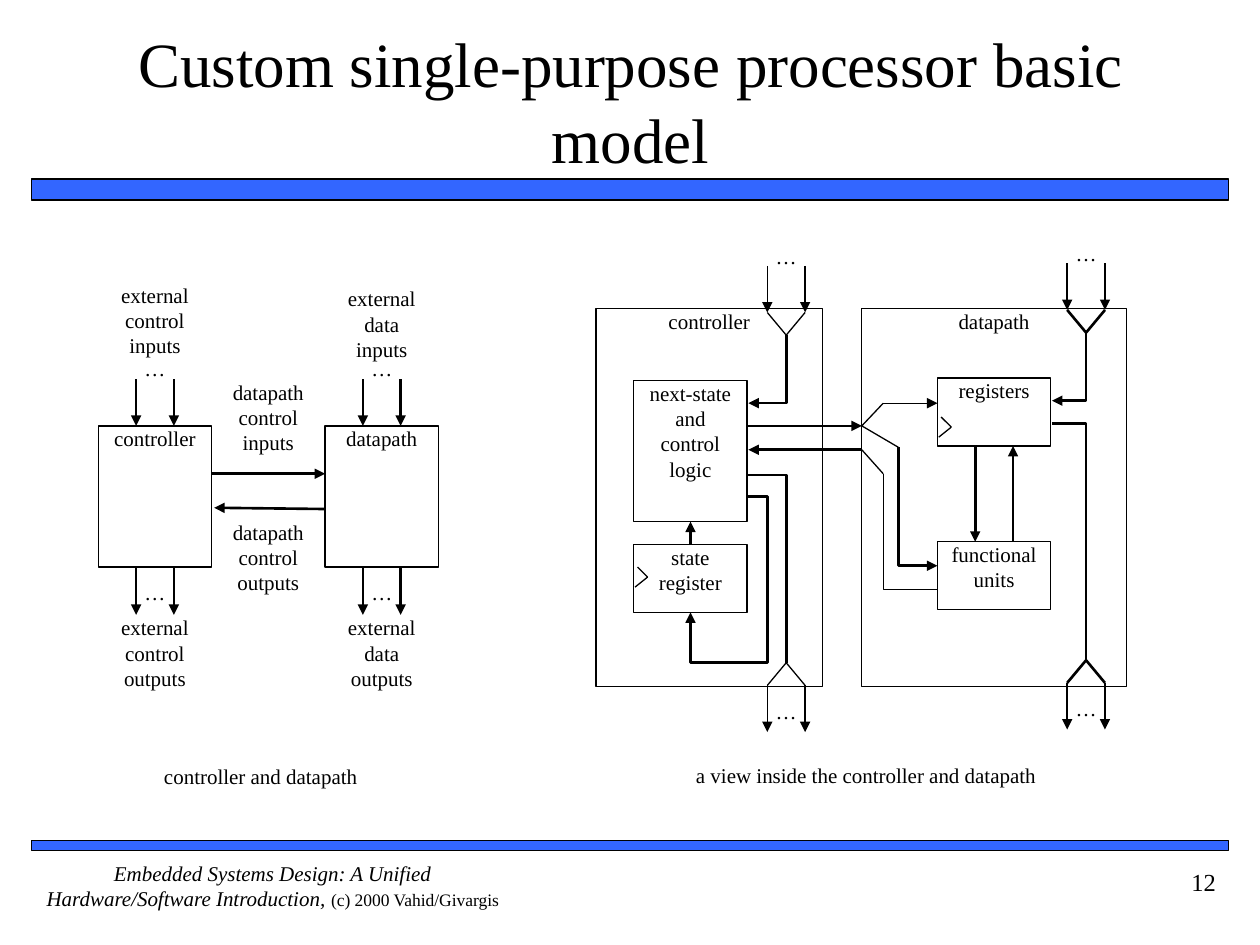
from pptx import Presentation
from pptx.dml.color import RGBColor
from pptx.enum.shapes import MSO_CONNECTOR, MSO_SHAPE
from pptx.enum.text import MSO_ANCHOR, MSO_AUTO_SIZE, PP_ALIGN
from pptx.oxml.ns import qn
from pptx.util import Inches, Pt
from lxml import etree

STRAIGHT = MSO_CONNECTOR.STRAIGHT
RECTANGLE = MSO_SHAPE.RECTANGLE
TOP, MIDDLE = MSO_ANCHOR.TOP, MSO_ANCHOR.MIDDLE
CENTER, RIGHT = PP_ALIGN.CENTER, PP_ALIGN.RIGHT
NO_AUTOFIT = MSO_AUTO_SIZE.NONE

COLORS = {"ink": "000000", "bar": "3366FF"}
FONT = "Times New Roman"
THIN, MEDIUM, THICK = 0.75, 1.25, 1.5
PAIR_GAP = 0.3
BLOCK_WIDTH = 0.9


def color(name):
    return RGBColor.from_string(COLORS[name])


def write(shape, text, size=12, align=CENTER, anchor=TOP, insets=(0, 0)):
    frame = shape.text_frame
    frame.text = text
    frame.word_wrap = True
    frame.auto_size = NO_AUTOFIT
    frame.vertical_anchor = anchor
    frame.margin_left = frame.margin_right = Inches(insets[0])
    frame.margin_top = frame.margin_bottom = Inches(insets[1])
    for paragraph in frame.paragraphs:
        paragraph.alignment = align
        for run in paragraph.runs:
            style_run(run, size)


def style_run(run, size, italic=False):
    run.font.name = FONT
    run.font.size = Pt(size)
    run.font.italic = italic
    run.font.color.rgb = color("ink")


def add_label(slide, left, top, width, height, text, **style):
    label = slide.shapes.add_textbox(*map(Inches, (left, top, width, height)))
    write(label, text, **style)
    return label


def add_block(slide, left, top, width, height, text="", fill=None, weight=THIN):
    block = slide.shapes.add_shape(RECTANGLE, *map(Inches, (left, top, width, height)))
    block.shadow.inherit = False
    if fill:
        block.fill.solid()
        block.fill.fore_color.rgb = color(fill)
    else:
        block.fill.background()
    set_line(block, weight)
    if text:
        write(block, text)
    return block


def set_line(shape, weight, arrow=False):
    shape.line.color.rgb = color("ink")
    shape.line.width = Pt(weight)
    if arrow:
        outline = shape.element.spPr.find(qn("a:ln"))
        etree.SubElement(outline, qn("a:tailEnd"), type="triangle")


def add_line(slide, start, end, weight=THIN, arrow=False):
    line = slide.shapes.add_connector(STRAIGHT, *map(Inches, (*start, *end)))
    set_line(line, weight, arrow)
    etree.SubElement(line.element.spPr, qn("a:effectLst"))
    return line


def add_route(slide, points, weight=THICK, arrow=False):
    corners = [(Inches(x), Inches(y)) for x, y in points]
    builder = slide.shapes.build_freeform(*corners[0], scale=1.0)
    builder.add_line_segments(corners[1:], close=False)
    route = builder.convert_to_shape()
    route.shadow.inherit = False
    route.fill.background()
    set_line(route, weight, arrow)


def add_arrow_pair(slide, left, top, weight, dots_top):
    for x in (left, left + PAIR_GAP):
        add_line(slide, (x, top), (x, top + 0.37), weight, arrow=True)
    add_label(slide, left, dots_top, PAIR_GAP, 0.28, "…")


def add_fork(slide, left, tip, ends, weight):
    for x in (left, left + PAIR_GAP):
        add_line(slide, (left + PAIR_GAP / 2, tip), (x, ends), weight)


def add_clock_mark(slide, left, top):
    tip = (left + 0.1, top + 0.08)
    add_line(slide, (left + 0.02, top), tip)
    add_line(slide, tip, (left, top + 0.16))


def add_frame(slide):
    add_block(slide, 0.25, 1.42, 9.5, 0.17, fill="bar", weight=1)
    add_block(slide, 0.25, 6.67, 9.5, 0.08, fill="bar", weight=1)

    title = slide.shapes.title
    title.left, title.top = Inches(0.42), Inches(0.17)
    title.width, title.height = Inches(9.17), Inches(1.25)
    write(title, "Custom single-purpose processor basic model",
          size=36, anchor=MIDDLE, insets=(0, 0.05))

    book = "Embedded Systems Design: A Unified Hardware/Software Introduction, "
    credit = add_label(slide, 0.25, 6.83, 3.83, 0.5, book)
    paragraph = credit.text_frame.paragraphs[0]
    style_run(paragraph.runs[0], 12, italic=True)
    copyright_run = paragraph.add_run()
    copyright_run.text = "(c) 2000 Vahid/Givargis"
    style_run(copyright_run, 10)

    add_label(slide, 8.75, 6.83, 1, 0.5, "12", size=14, align=RIGHT, insets=(0.1, 0.05))


def add_overview(slide):
    columns = [
        (0.78, "controller", THIN, 2.24, "external\ncontrol\ninputs", "external\ncontrol outputs"),
        (2.58, "datapath", THICK, 2.27, "external\ndata\ninputs", "external\ndata\noutputs"),
    ]
    for left, name, weight, inputs_top, inputs, outputs in columns:
        add_block(slide, left, 3.38, BLOCK_WIDTH, 1.12, name)
        add_label(slide, left, inputs_top, BLOCK_WIDTH, 0.7, inputs)
        add_label(slide, left, 4.88, BLOCK_WIDTH, 0.85, outputs)
        add_arrow_pair(slide, left + 0.3, 3.01, weight, dots_top=2.82)
        add_arrow_pair(slide, left + 0.3, 4.51, weight, dots_top=4.6)

    add_line(slide, (1.68, 3.76), (2.58, 3.76), THICK, arrow=True)
    add_line(slide, (2.58, 4.04), (1.7, 4.03), THICK, arrow=True)
    add_label(slide, 1.68, 3.01, BLOCK_WIDTH, 0.73, "datapath\ncontrol\ninputs")
    add_label(slide, 1.68, 4.12, BLOCK_WIDTH, 0.93, "datapath\ncontrol\noutputs")
    add_label(slide, 1.02, 6.06, 2.1, 0.28, "controller and datapath")


def add_external_signals(slide):
    for left, shift, weight in ((6.09, 0, THIN), (8.47, -0.02, THICK)):
        add_arrow_pair(slide, left, 2.11 + shift, weight, dots_top=1.93 + shift)
        add_fork(slide, left, 2.66 + shift, 2.48 + shift, weight)
        add_fork(slide, left, 5.26 + shift, 5.44 + shift, weight)
        add_arrow_pair(slide, left, 5.44 + shift, weight, dots_top=5.54 + shift)


def add_controller(slide):
    add_block(slide, 4.73, 2.45, 1.8, 3, "controller")
    logic = add_block(slide, 5.03, 3.02, BLOCK_WIDTH, 1.12, "next-state\nand\ncontrol\nlogic")
    state = add_block(slide, 5.03, 4.32, BLOCK_WIDTH, 0.54, "state\nregister")
    feedback = add_line(slide, (5.48, 4.32), (5.48, 4.14), MEDIUM, arrow=True)
    feedback.begin_connect(state, 0)
    feedback.end_connect(logic, 2)
    add_clock_mark(slide, 5.04, 4.5)

    add_route(slide, [(6.24, 2.66), (6.24, 3.2), (5.94, 3.2)], arrow=True)
    add_route(slide, [(5.94, 3.77), (6.24, 3.77), (6.24, 5.26)])
    add_route(slide, [(5.94, 3.94), (6.09, 3.94), (6.09, 5.26), (5.48, 5.26), (5.48, 4.86)],
              arrow=True)


def add_datapath(slide):
    add_block(slide, 6.84, 2.45, 2.1, 3, "datapath")
    add_block(slide, 7.44, 3, BLOCK_WIDTH, 0.54, "registers")
    add_block(slide, 7.44, 4.3, BLOCK_WIDTH, 0.54, "functional\nunits")
    add_line(slide, (7.74, 3.54), (7.74, 4.3), THICK, arrow=True)
    add_line(slide, (8.04, 4.3), (8.04, 3.54), THICK, arrow=True)
    add_clock_mark(slide, 7.45, 3.31)

    add_route(slide, [(8.62, 2.64), (8.62, 3.18), (8.35, 3.18)], arrow=True)
    add_route(slide, [(8.35, 3.36), (8.62, 3.36), (8.62, 5.24)])


def add_control_signals(slide):
    add_line(slide, (5.94, 3.38), (6.84, 3.38), THICK, arrow=True)
    add_line(slide, (6.84, 3.57), (5.94, 3.57), THICK, arrow=True)
    add_line(slide, (6.84, 3.38), (7.01, 3.2))
    add_line(slide, (7.01, 3.2), (7.44, 3.2), arrow=True)
    add_line(slide, (6.84, 3.38), (7.13, 3.55))
    add_route(slide, [(7.13, 3.55), (7.13, 4.49), (7.44, 4.49)], arrow=True)
    add_route(slide, [(7.44, 4.68), (7.01, 4.68), (7.01, 3.76)], THIN)
    add_line(slide, (7.01, 3.76), (6.84, 3.57))


def main():
    deck = Presentation()
    deck.slide_width, deck.slide_height = Inches(10), Inches(7.5)
    slide = deck.slides.add_slide(deck.slide_layouts[5])
    add_frame(slide)
    add_overview(slide)
    add_controller(slide)
    add_datapath(slide)
    add_external_signals(slide)
    add_control_signals(slide)
    add_label(slide, 4.81, 6.05, 4.13, 0.43, "a view inside the controller and datapath")
    deck.save("out.pptx")


if __name__ == "__main__":
    main()
